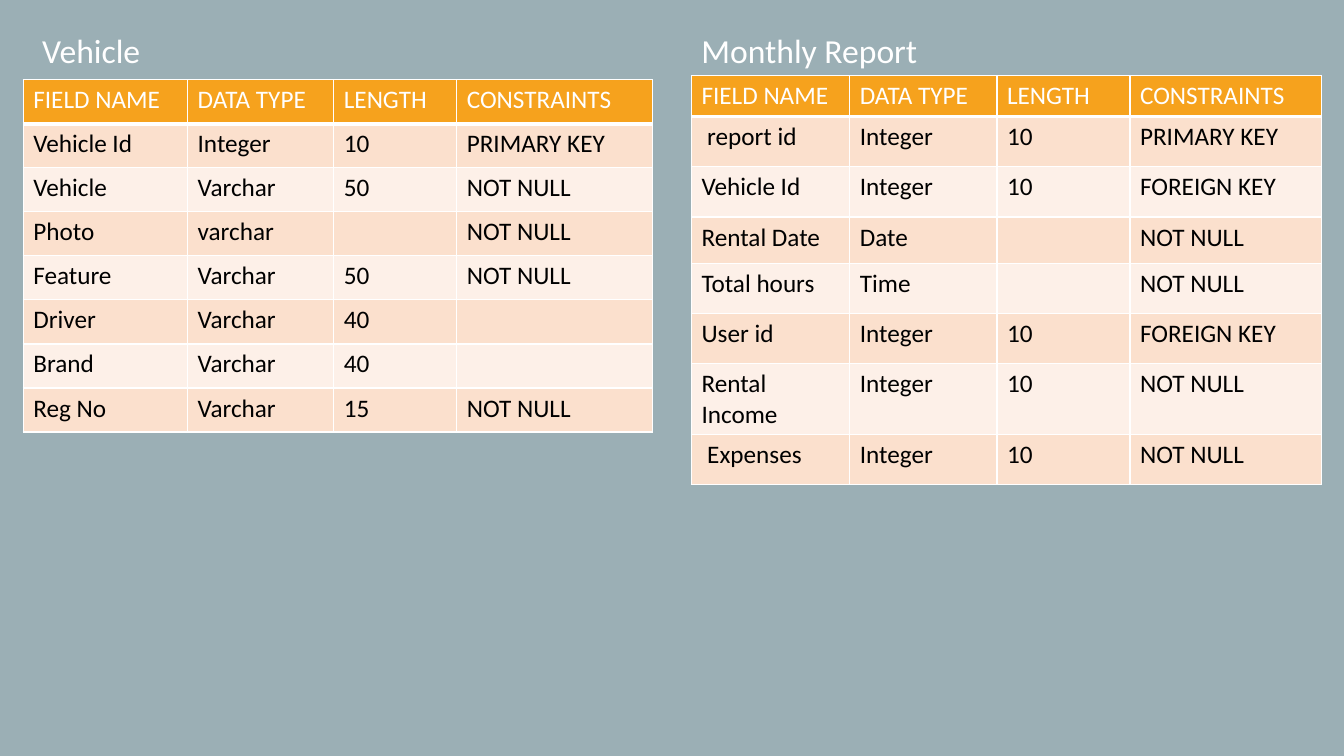
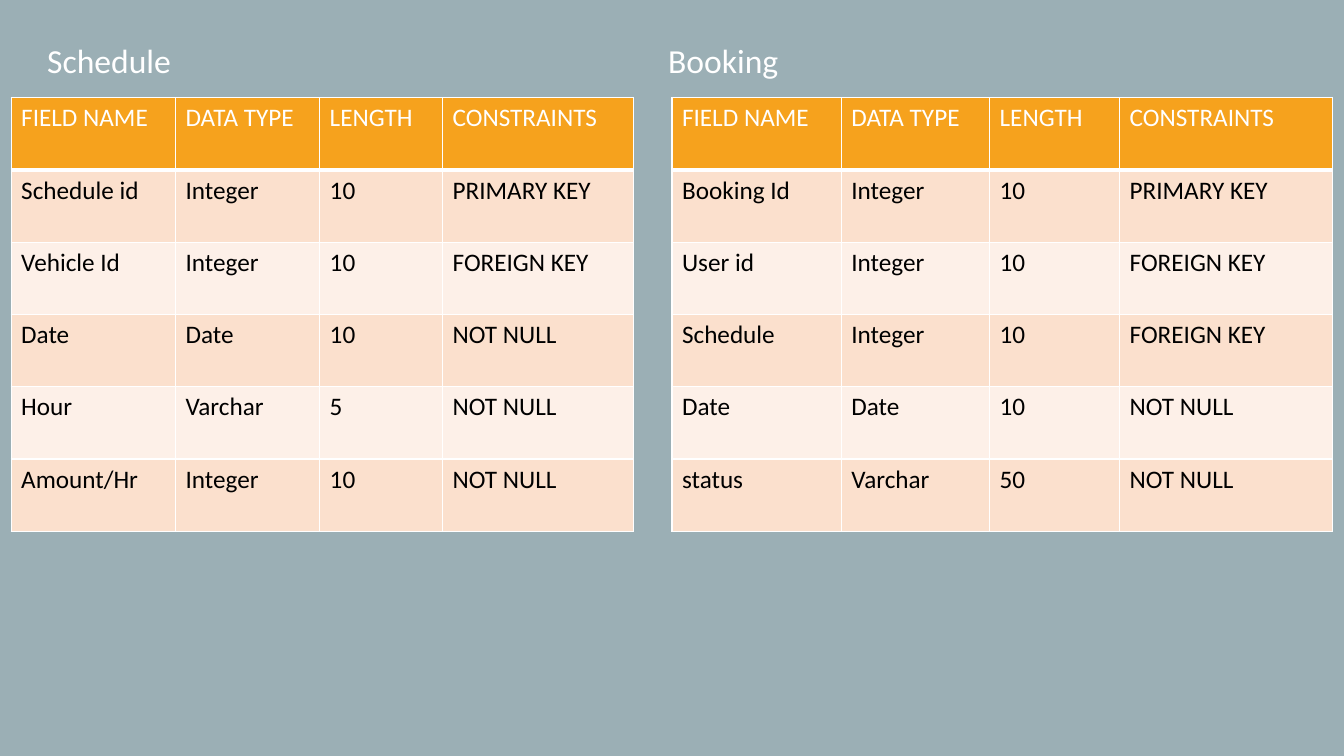
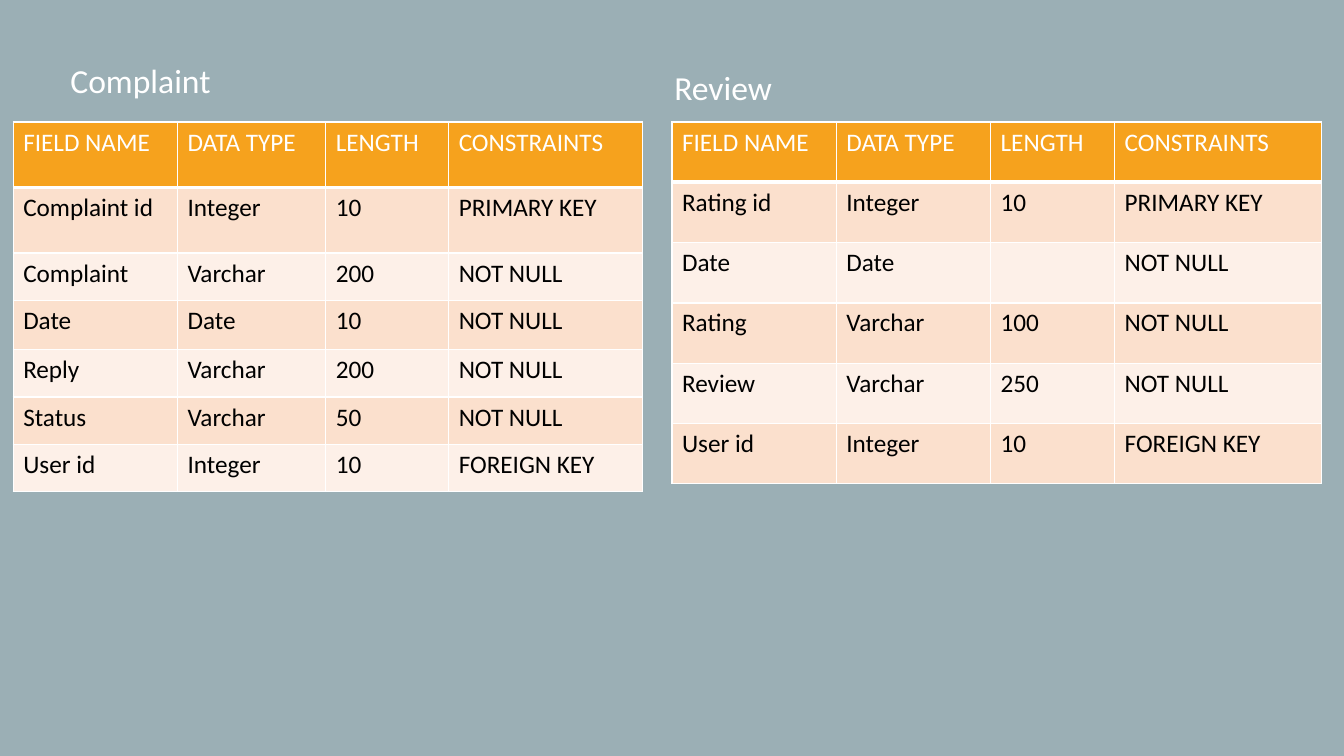
"""Build three slides of database table layouts, two tables on each."""
import lxml.etree
import pptx
import pptx.dml.color
import pptx.enum.text
import pptx.oxml.ns
import pptx.util

HUES = {"back": "9BAFB5", "head": "F6A21D", "odd": "FBE0CD", "even": "FDF0E8",
        "light": "FFFFFF", "dark": "000000"}
FONT = "Calibri"
HEAD = "FIELD NAME|DATA TYPE|LENGTH|CONSTRAINTS"

deck = pptx.Presentation()
deck.slide_width = pptx.util.Inches(13.333)
deck.slide_height = pptx.util.Inches(7.5)
across = deck.slide_width / 100
down = deck.slide_height / 100
back = deck.slide_master.background.fill
back.solid()
back.fore_color.rgb = pptx.dml.color.RGBColor.from_string(HUES["back"])


def style(para, size, hue):
    for run in para.runs:
        run.font.name = FONT
        run.font.size = pptx.util.Pt(size)
        run.font.color.rgb = pptx.dml.color.RGBColor.from_string(HUES[hue])


def edge(cell, side, width):
    tag = pptx.oxml.ns.qn
    line = lxml.etree.SubElement(cell._tc.get_or_add_tcPr(), tag("a:ln" + side),
                                 w=str(pptx.util.Pt(width)))
    fill = lxml.etree.SubElement(line, tag("a:solidFill"))
    lxml.etree.SubElement(fill, tag("a:srgbClr"), val=HUES["light"])


PAGES = [
    [
        {"title": "Vehicle", "label": (2.4, 3.33, 33.8), "at": (1.73, 10.53),
         "cols": [12.23, 10.88, 9.15, 14.55], "rows": [5.83] * 8,
         "data": ["Vehicle Id|Integer|10|PRIMARY KEY",
                  "Vehicle|Varchar|50|NOT NULL",
                  "Photo|varchar||NOT NULL",
                  "Feature|Varchar|50|NOT NULL",
                  "Driver|Varchar|40|",
                  "Brand|Varchar|40|",
                  "Reg No|Varchar|15|NOT NULL"]},
        {"title": "Monthly Report", "label": (51.45, 3.33, 31.4), "at": (51.45, 10),
         "cols": [11.78, 10.95, 9.9, 14.25],
         "rows": [5.42] + [6.65] * 2 + [6.1] + [6.65] * 4,
         "data": [" report id|Integer|10|PRIMARY KEY",
                  "Vehicle Id|Integer|10|FOREIGN KEY",
                  "Rental Date|Date||NOT NULL",
                  "Total hours|Time||NOT NULL",
                  "User id|Integer|10|FOREIGN KEY",
                  "Rental Income|Integer|10|NOT NULL",
                  " Expenses|Integer|10|NOT NULL"]},
    ],
    [
        {"title": "Schedule", "label": (2.78, 4.67, 32.25), "at": (0.83, 12.93),
         "cols": [12.23, 10.73, 9.15, 14.18], "rows": [9.56] * 6,
         "data": ["Schedule id|Integer|10|PRIMARY KEY",
                  "Vehicle Id|Integer|10|FOREIGN KEY",
                  "Date|Date|10|NOT NULL",
                  "Hour|Varchar|5|NOT NULL",
                  "Amount/Hr|Integer|10|NOT NULL"]},
        {"title": "Booking", "label": (48.98, 4.67, 23.7), "at": (50, 12.93),
         "cols": [12.6, 11.03, 9.68, 15.83], "rows": [9.56] * 6,
         "data": ["Booking Id|Integer|10|PRIMARY KEY",
                  "User id|Integer|10|FOREIGN KEY",
                  "Schedule|Integer|10|FOREIGN KEY",
                  "Date|Date|10|NOT NULL",
                  "status|Varchar|50|NOT NULL"]},
    ],
    [
        {"title": "Complaint", "label": (4.5, 7.2, 19.95), "at": (0.98, 16.13),
         "cols": [12.23, 11.03, 9.15, 14.4],
         "rows": [8.67] * 2 + [6.27, 6.53] + [6.27] * 3,
         "data": ["Complaint id|Integer|10|PRIMARY KEY",
                  "Complaint|Varchar|200|NOT NULL",
                  "Date|Date|10|NOT NULL",
                  "Reply|Varchar|200|NOT NULL",
                  "Status|Varchar|50|NOT NULL",
                  "User id|Integer|10|FOREIGN KEY"]},
        {"title": "Review", "label": (49.43, 8.13, 28.05), "at": (50, 16.13),
         "cols": [12.23, 11.48, 9.23, 15.38], "rows": [7.98] * 6,
         "data": ["Rating id|Integer|10|PRIMARY KEY",
                  "Date|Date||NOT NULL",
                  "Rating|Varchar|100|NOT NULL",
                  "Review|Varchar|250|NOT NULL",
                  "User id|Integer|10|FOREIGN KEY"]},
    ],
]

for page in PAGES:
    slide = deck.slides.add_slide(deck.slide_layouts[6])
    for part in page:
        left, top = part["at"]
        cols, rows = part["cols"], part["rows"]
        grid = slide.shapes.add_table(
            len(rows), len(cols), int(left * across), int(top * down),
            int(sum(cols) * across), int(sum(rows) * down)).table
        for col, width in zip(grid.columns, cols):
            col.width = int(width * across)
        for row, height in zip(grid.rows, rows):
            row.height = int(height * down)
        for r, line in enumerate([HEAD] + part["data"]):
            band = "head" if r == 0 else "odd" if r % 2 else "even"
            for c, word in enumerate(line.split("|")):
                cell = grid.cell(r, c)
                cell.text_frame.text = word
                style(cell.text_frame.paragraphs[0], 18, "dark" if r else "light")
                for side in "LRTB":
                    thick = (r, side) in [(0, "B"), (1, "T")]
                    edge(cell, side, 3 if thick else 1)
                cell.fill.solid()
                cell.fill.fore_color.rgb = pptx.dml.color.RGBColor.from_string(HUES[band])

        left, top, width = part["label"]
        label = slide.shapes.add_textbox(int(left * across), int(top * down),
                                         int(width * across), int(6.67 * down))
        frame = label.text_frame
        frame.word_wrap = True
        frame.auto_size = pptx.enum.text.MSO_AUTO_SIZE.SHAPE_TO_FIT_TEXT
        frame.text = part["title"]
        style(frame.paragraphs[0], 24, "light")

deck.save("out.pptx")
